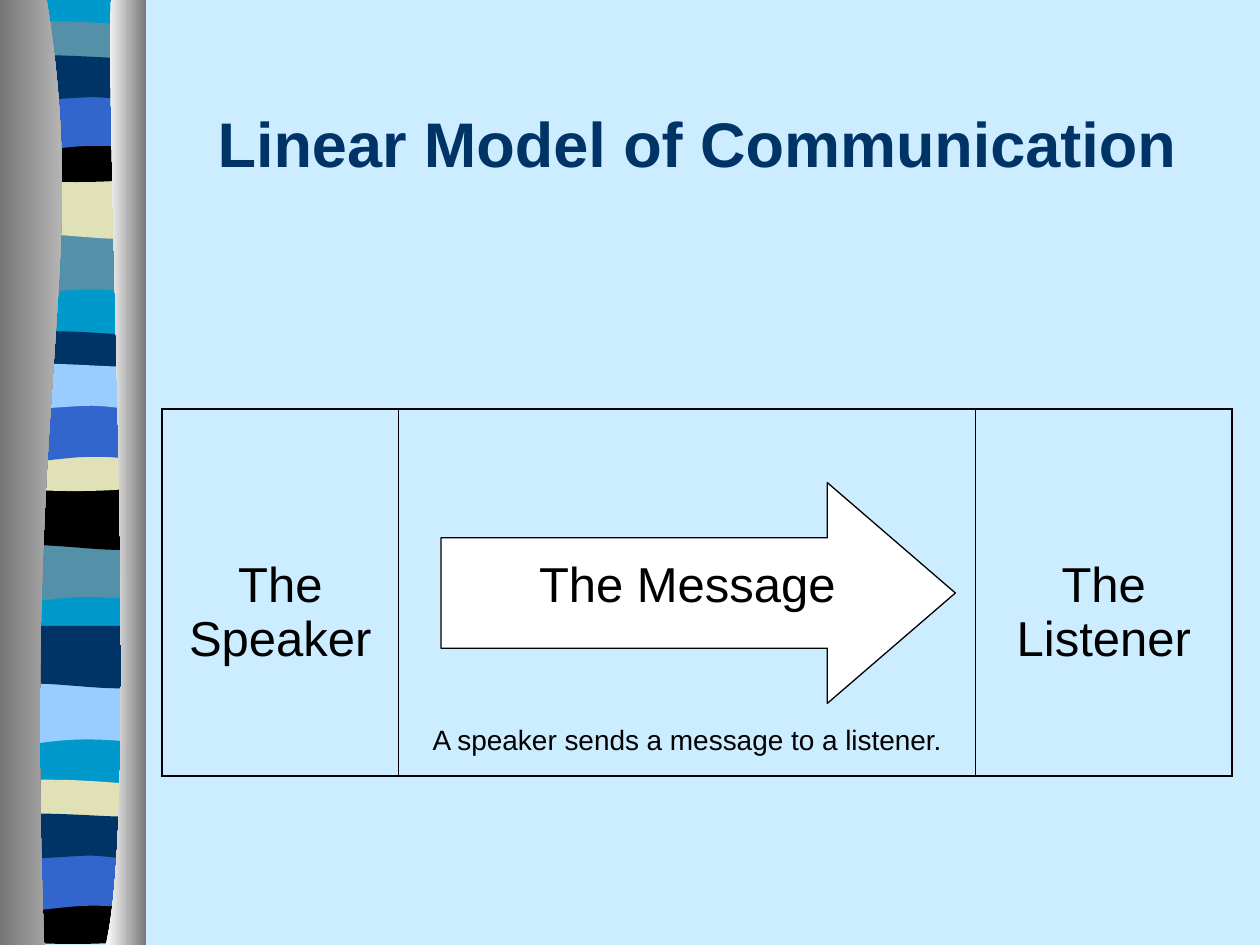
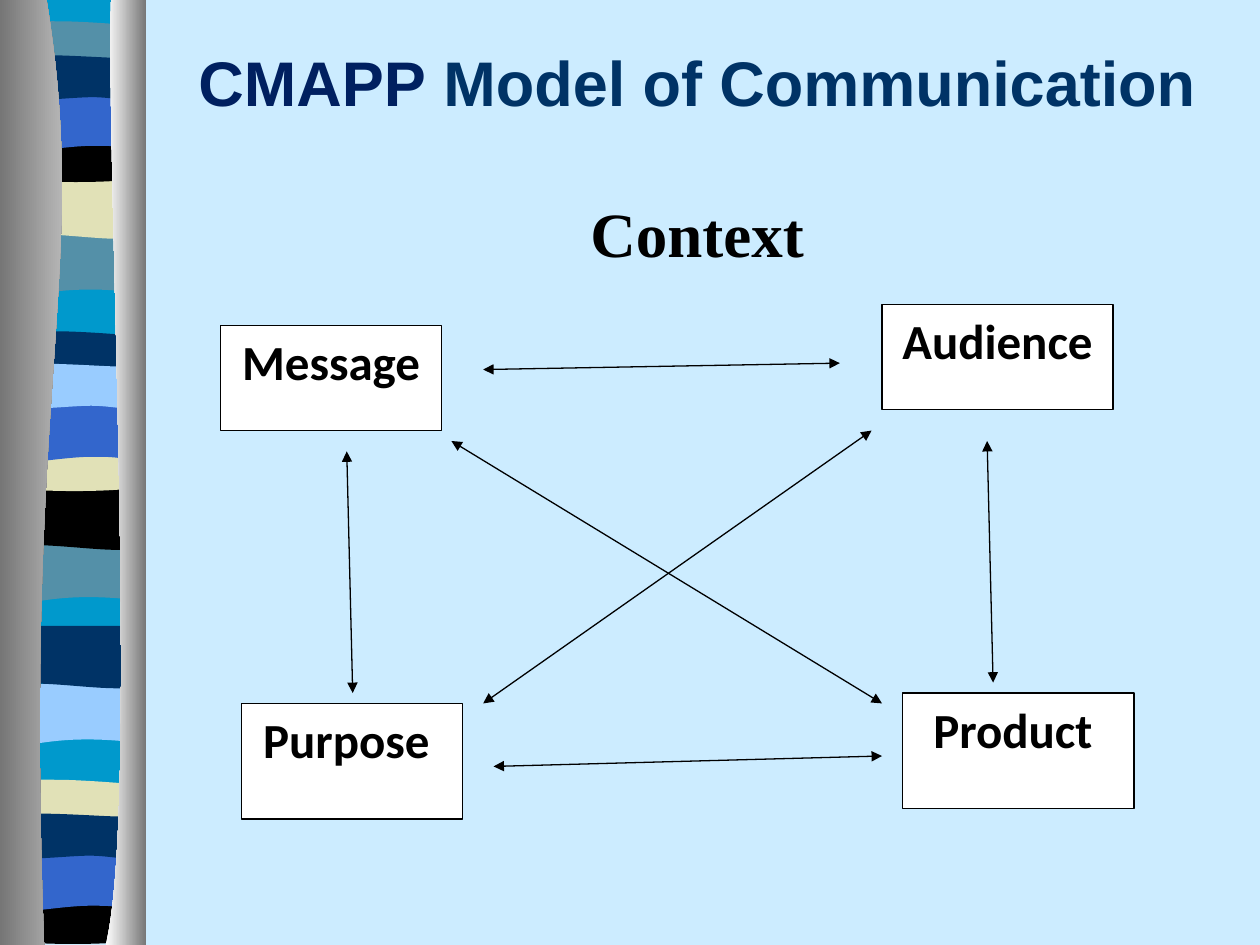
from lxml import etree
from pptx import Presentation
from pptx.dml.color import RGBColor
from pptx.enum.shapes import MSO_CONNECTOR, MSO_SHAPE
from pptx.enum.text import MSO_ANCHOR, MSO_AUTO_SIZE, PP_ALIGN
from pptx.oxml.ns import qn
from pptx.util import Cm, Pt

STRAIGHT = MSO_CONNECTOR.STRAIGHT
RECTANGLE, RIGHT_ARROW = MSO_SHAPE.RECTANGLE, MSO_SHAPE.RIGHT_ARROW
TOP, MIDDLE = MSO_ANCHOR.TOP, MSO_ANCHOR.MIDDLE
CENTER = PP_ALIGN.CENTER
NO_AUTOFIT = MSO_AUTO_SIZE.NONE

# Shared colours
SKY, NAVY, DEEP_NAVY = "CCECFF", "003366", "002060"
CYAN, TEAL, SAND, BLUE, PALE = "0099CC", "5490A8", "E1E1B7", "3366CC", "99CCFF"
BLACK, WHITE, GREY, LIGHT_GREY = "000000", "FFFFFF", "767676", "D3D3D3"

SLIDE_WIDTH, SLIDE_HEIGHT = 25.4, 19.05
TITLE_LEFT, TITLE_WIDTH = 3.26, 21.59
BAND_WIDTH = 2.72

# Ribbon bands: height, then Bezier points of the top edge (left to right)
# and of the bottom edge (right to left), as (share of width, offset in cm)
FLAT = []
PROFILES = {
    "dip": (1.19, FLAT, [(0.31, -0.23), (0.16, 0.18), (0, 0)]),
    "swell": (1.19, FLAT, [(0.83, 0.2), (0.31, -0.13), (0, 0)]),
    "thin": (0.61,
             [(0.07, -0.13), (0.22, -0.1), (0.38, -0.1),
              (0.55, -0.1), (0.87, -0.03), (1, 0)],
             [(0.83, 0.11), (0.17, 0.11), (0, 0)]),
    "sag": (0.84, [(0.61, 0.13), (0.79, 0), (1, 0)],
            [(0.83, 0.12), (0.16, 0.12), (0, 0)]),
    "arch": (1.2, FLAT,
             [(0.84, -0.14), (0.78, -0.14), (0.62, -0.14),
              (0.45, -0.14), (0.15, 0), (0, 0)]),
    "wave": (0.79,
             [(0.14, -0.13), (0.68, 0), (0.84, 0),
              (1, 0), (0.96, 0), (1, 0)],
             [(0.93, 0.13), (0.79, 0), (0.62, 0),
              (0.45, 0), (0.1, 0.13), (0, 0)]),
}

# Each tier: left edge, then (top, colour) in the order of PROFILES
TIERS = [
    (0.18, [(4.72, TEAL), (3.56, SAND), (0.53, TEAL),
            (2.74, BLACK), (1.88, BLUE), (1.17, NAVY)]),
    (0.15, [(10.92, TEAL), (9.83, BLACK), (6.78, NAVY),
            (8.97, SAND), (8.15, BLUE), (7.39, PALE)]),
    (0.12, [(13.79, PALE), (12.62, NAVY), (15.82, SAND),
            (18.1, BLACK), (17.2, BLUE), (16.46, NAVY)]),
]


def rgb(color):
    return RGBColor.from_string(color)


def add_outline(page, start, segments):
    """A segment is one point for a line or three for a Bezier curve."""
    builder = page.shapes.build_freeform(Cm(start[0]), Cm(start[1]), scale=1.0)
    builder.add_line_segments(
        [(Cm(x), Cm(y)) for segment in segments for x, y in segment],
        close=True)
    outline = builder.convert_to_shape()
    lines = iter(list(outline.element.iter(qn("a:lnTo"))))
    for segment in segments:
        pieces = [next(lines) for _ in segment]
        if len(pieces) == 3:
            curve = etree.Element(qn("a:cubicBezTo"))
            pieces[0].addprevious(curve)
            for piece in pieces:
                curve.append(piece[0])
                piece.getparent().remove(piece)
    outline.shadow.inherit = False
    outline.line.fill.background()
    return outline


def add_band(page, left, top, color, profile):
    height, top_edge, bottom_edge = profile
    right, bottom = left + BAND_WIDTH, top + height

    def trace(edge, base, end):
        points = [(left + share * BAND_WIDTH, base + offset)
                  for share, offset in edge]
        curves = [points[index:index + 3] for index in range(0, len(points), 3)]
        return curves or [[(end, base)]]

    band = add_outline(page, (left, top), [
        *trace(top_edge, top, right), [(right, bottom)],
        *trace(bottom_edge, bottom, left)])
    band.fill.solid()
    band.fill.fore_color.rgb = rgb(color)
    return band


def add_panel(page, start, bend, outer_edge, colors):
    panel = add_outline(page, start, [
        bend, [(outer_edge, SLIDE_HEIGHT)], [(outer_edge, 0)]])
    panel.fill.gradient()
    panel.fill.gradient_angle = 0
    for stop, color in zip(panel.fill.gradient_stops, colors):
        stop.color.rgb = rgb(color)
    return panel


def decorate_layout(layout, page):
    """Build the ribbon on a page, then hand it to the shared layout."""
    ribbon = [add_band(page, 0.18, 0, CYAN, (18.97, FLAT, FLAT))]
    for left, bands in TIERS:
        for (top, color), profile in zip(bands, PROFILES.values()):
            ribbon.append(add_band(page, left, top, color, profile))
    ribbon.append(add_panel(
        page, (0.94, 0), [(1.83, 5.49), (0.46, 7.52), (0.89, SLIDE_HEIGHT)],
        0, (GREY, LIGHT_GREY)))
    ribbon.append(add_panel(
        page, (2.24, 0), [(2.13, 3.18), (2.82, 16.41), (2.13, SLIDE_HEIGHT)],
        2.95, (WHITE, GREY)))
    for part in ribbon:
        layout.shapes.element.append(part.element)


def format_span(span, size, color, font="Arial", bold=False):
    span.font.size = Pt(size)
    span.font.name = font
    span.font.bold = bold
    span.font.color.rgb = rgb(color)


def set_title(page, paragraphs, top=1.27, height=3.18, anchor=MIDDLE):
    """Each paragraph is a list of (text, colour, font)."""
    title = page.shapes.title
    title.left, title.top = Cm(TITLE_LEFT), Cm(top)
    title.width, title.height = Cm(TITLE_WIDTH), Cm(height)
    frame = title.text_frame
    frame.auto_size = NO_AUTOFIT
    frame.vertical_anchor = anchor
    frame.margin_top = frame.margin_bottom = 0
    for index, spans in enumerate(paragraphs):
        para = frame.add_paragraph() if index else frame.paragraphs[0]
        para.alignment = CENTER
        if index:
            para.space_before = Pt(43)
        for text, color, font in spans:
            span = para.add_run()
            span.text = text
            format_span(span, 36, color, font, bold=True)


def add_white_shape(page, kind, left, top, width, height):
    shape = page.shapes.add_shape(
        kind, Cm(left), Cm(top), Cm(width), Cm(height))
    shape.shadow.inherit = False
    shape.fill.solid()
    shape.fill.fore_color.rgb = rgb(WHITE)
    shape.line.color.rgb = rgb(BLACK)
    shape.line.width = Pt(0.75)
    return shape


def add_label_box(page, label, left, top, width, height):
    box = add_white_shape(page, RECTANGLE, left, top, width, height)
    frame = box.text_frame
    frame.word_wrap = True
    frame.vertical_anchor = TOP
    frame.text = label
    para = frame.paragraphs[0]
    para.alignment = CENTER
    format_span(para.runs[0], 28, BLACK, "Calibri", bold=True)


def add_double_arrow(page, start, end):
    arrow = page.shapes.add_connector(
        STRAIGHT, *(Cm(value) for value in (*start, *end)))
    arrow.line.color.rgb = rgb(BLACK)
    arrow.line.width = Pt(0.75)
    line = arrow.element.spPr.find(qn("a:ln"))
    for end_name in ("a:headEnd", "a:tailEnd"):
        etree.SubElement(line, qn(end_name), type="triangle")
    etree.SubElement(arrow.element.spPr, qn("a:effectLst"))


def set_borders(cell, widths):
    """Border widths in points for left, right, top, bottom; 0 hides one."""
    properties = cell._tc.get_or_add_tcPr()
    for index, (side, width) in enumerate(zip("LRTB", widths)):
        line = etree.Element(qn("a:ln" + side), w=str(Pt(width)))
        if width:
            fill = etree.SubElement(line, qn("a:solidFill"))
            etree.SubElement(fill, qn("a:srgbClr"), val=BLACK)
        else:
            etree.SubElement(line, qn("a:noFill"))
        properties.insert(index, line)


def fill_cell(cell, lines):
    cell.text_frame.text = "\n".join(text for text, _ in lines)
    for index, (para, (_, size)) in enumerate(
            zip(cell.text_frame.paragraphs, lines)):
        para.alignment = CENTER
        if index:
            para.space_before = Pt(64.5)
        format_span(para.runs[0], size, BLACK)


def add_model_table(page, contents):
    widths, heights = (4.78, 11.63, 5.16), (2.87, 4.52)
    table = page.shapes.add_table(
        len(heights), len(widths), Cm(TITLE_LEFT), Cm(8.25),
        Cm(sum(widths)), Cm(sum(heights))).table
    table.first_row = table.horz_banding = False
    for column, width in zip(table.columns, widths):
        column.width = Cm(width)
    for row, height in zip(table.rows, heights):
        row.height = Cm(height)
    outer, inner, last = 1.08, 0.45, len(widths) - 1
    for row_index in range(len(heights)):
        for index in range(len(widths)):
            cell = table.cell(row_index, index)
            cell.fill.background()
            set_borders(cell, (outer if index == 0 else inner,
                               outer if index == last else inner,
                               0 if row_index else outer,
                               outer if row_index else 0))
    for index, lines in enumerate(contents):
        fill_cell(table.cell(1, index), lines)


def build_linear_model(page):
    set_title(page, [[("Linear Model of Communication", NAVY, "Arial")]])
    arrow = add_white_shape(page, RIGHT_ARROW, 8.89, 9.73, 10.37, 4.45)
    arrow.adjustments[0], arrow.adjustments[1] = 0.5, 0.58
    add_model_table(page, [
        [("The Speaker", 28)],
        [("The Message", 28),
         ("A speaker sends a message to a listener.", 16)],
        [("The Listener", 28)],
    ])


def build_cmapp_model(page):
    set_title(page, [
        [("CMAPP", DEEP_NAVY, "Arial"),
         (" Model of Communication", NAVY, "Arial")],
        [("Context", BLACK, "Times New Roman")],
    ], top=0.88, height=5.67, anchor=TOP)

    # Elements of the model
    for label, *place in [
        ("Message", 4.45, 6.56, 4.45, 2.12),
        ("Audience", 17.78, 6.14, 4.66, 2.12),
        ("Purpose ", 4.87, 14.18, 4.45, 2.33),
        ("Product ", 18.2, 13.97, 4.66, 2.33),
    ]:
        add_label_box(page, label, *place)

    # Every element relates to every other one
    for start, end in [
        ((16.93, 7.32), (9.74, 7.45)),
        ((17.78, 15.24), (9.95, 15.45)),
        ((9.74, 14.18), (17.57, 8.68)),
        ((17.78, 14.18), (9.1, 8.89)),
        ((6.99, 9.1), (7.11, 13.97)),
        ((19.9, 8.89), (20.02, 13.76)),
    ]:
        add_double_arrow(page, start, end)


def main():
    deck = Presentation()
    deck.slide_width, deck.slide_height = Cm(SLIDE_WIDTH), Cm(SLIDE_HEIGHT)
    background = deck.slide_master.background.fill
    background.solid()
    background.fore_color.rgb = rgb(SKY)

    title_only = deck.slide_layouts[5]
    pages = [deck.slides.add_slide(title_only) for _ in range(2)]
    decorate_layout(title_only, pages[0])
    build_linear_model(pages[0])
    build_cmapp_model(pages[1])
    deck.save("out.pptx")


if __name__ == "__main__":
    main()
